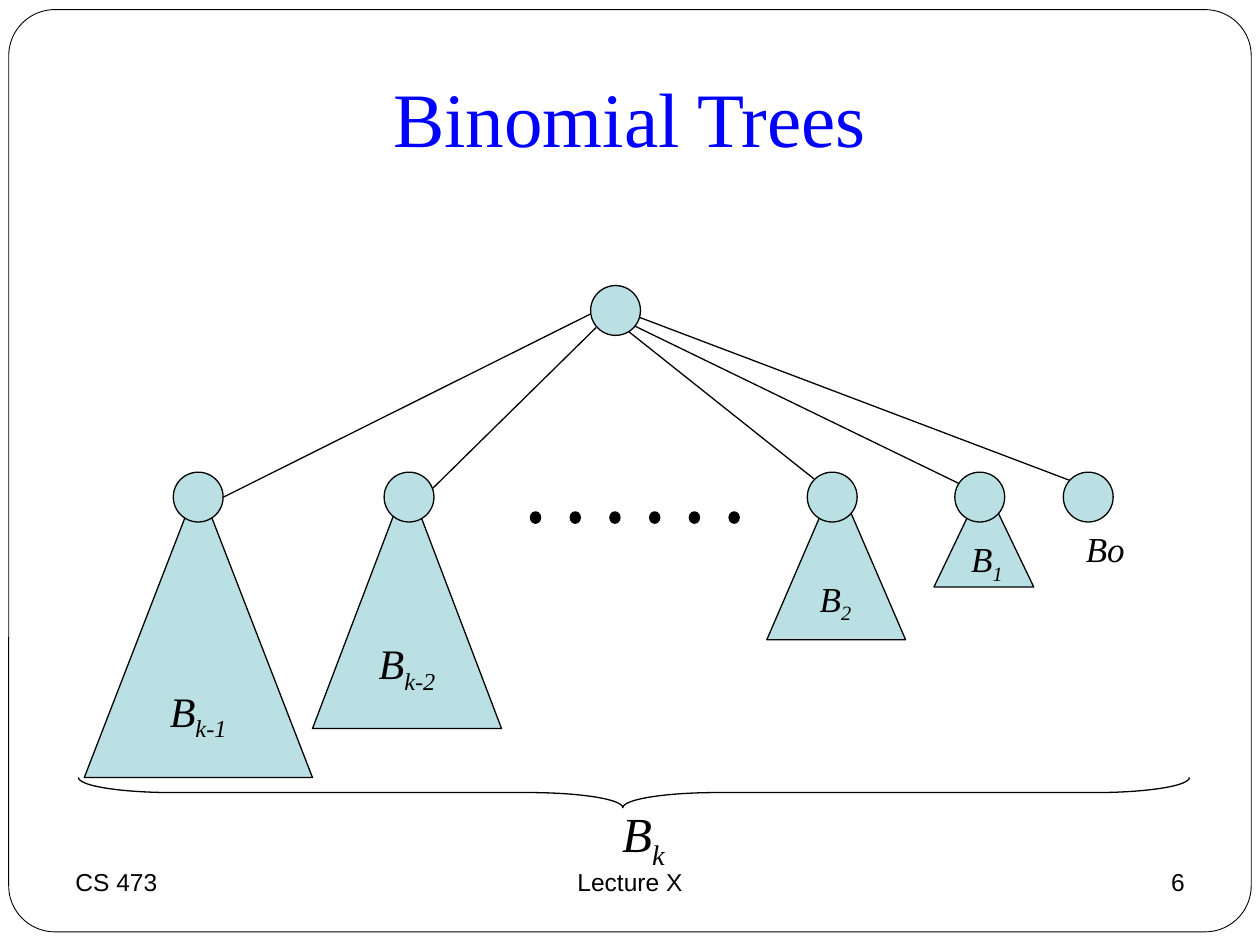
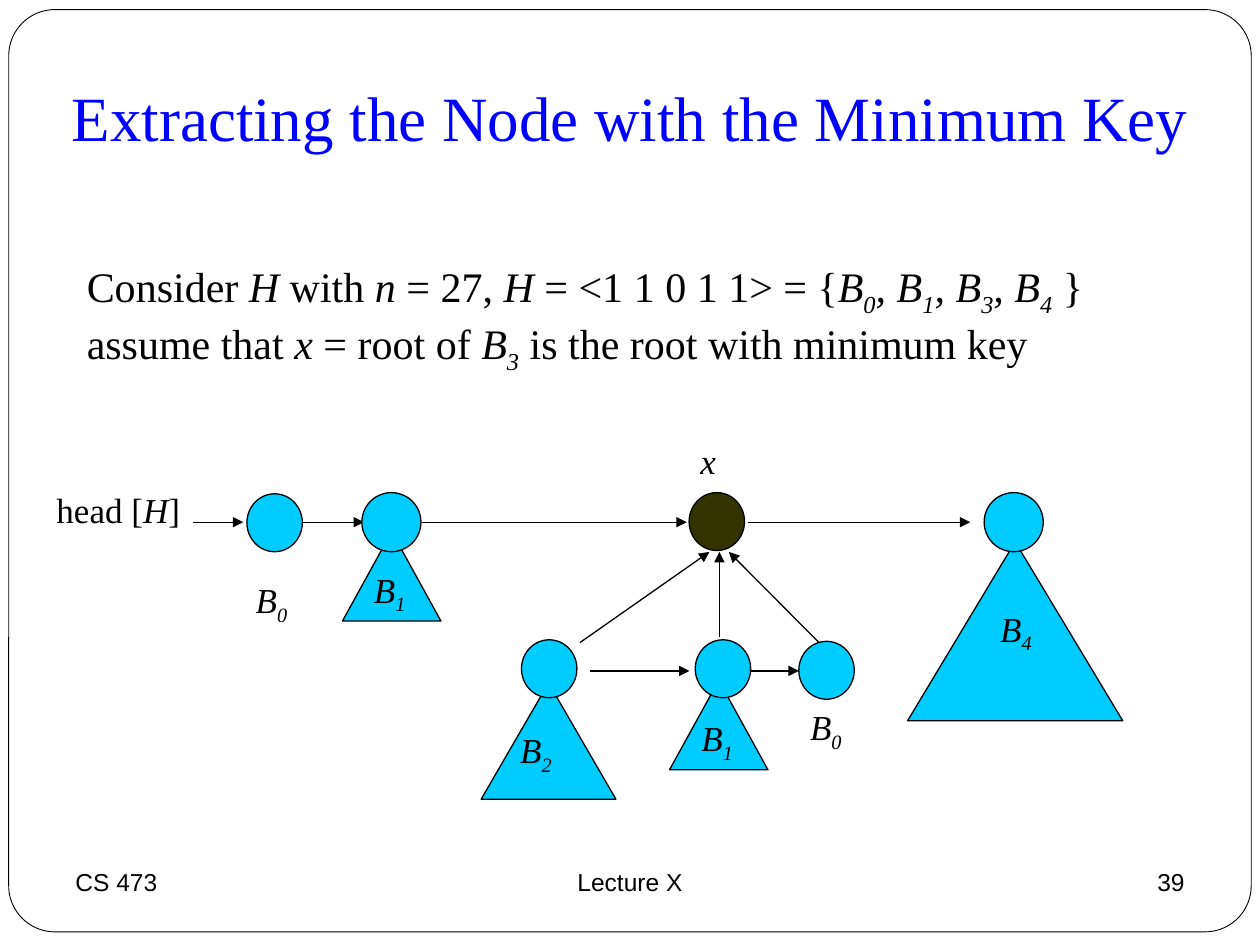
"""Build two lecture slides on binomial trees and binomial heaps."""
from typing import NamedTuple

import lxml.etree
import pptx
import pptx.dml.color
import pptx.enum.shapes
import pptx.enum.text
import pptx.oxml.ns
import pptx.shapes.autoshape
import pptx.slide
import pptx.text.text
import pptx.util

Pt = pptx.util.Pt
SHAPE = pptx.enum.shapes.MSO_SHAPE
ALIGN = pptx.enum.text.PP_ALIGN
ANCHOR = pptx.enum.text.MSO_ANCHOR
qn = pptx.oxml.ns.qn

SERIF, SANS = "Times New Roman", "Arial"
BLACK, WHITE, TITLE_BLUE = "000000", "FFFFFF", "0000FF"
PALE_TEAL, SKY, OLIVE = "BBE0E3", "00CCFF", "333300"


class Box(NamedTuple):
    """Place and size of a shape."""
    x: float
    y: float
    w: float
    h: float


class Node(NamedTuple):
    """Root of a tree."""
    box: Box
    color: str


class Subtree(NamedTuple):
    """Triangle below a root, with a label if it carries one."""
    box: Box
    color: str
    text: str = ""


class Edge(NamedTuple):
    """Straight line between two points."""
    x1: float
    y1: float
    x2: float
    y2: float
    arrow: bool = False


class Label(NamedTuple):
    """Short free-standing text."""
    x: float
    y: float
    text: str
    size: float = 20


def rgb(color: str) -> pptx.dml.color.RGBColor:
    """Turn a hex string into a colour."""
    return pptx.dml.color.RGBColor.from_string(color)


def write(tf: pptx.text.text.TextFrame, text: str, *, size: float = 20, font: str = SERIF,
          color: str = BLACK, align: ALIGN = ALIGN.LEFT, anchor: ANCHOR = ANCHOR.TOP,
          wrap: bool = True) -> None:
    """Write text in which * toggles italics and _ toggles subscript."""
    tf.word_wrap = wrap
    tf.vertical_anchor = anchor
    p = tf.paragraphs[0]
    p.alignment = align
    for i, part in enumerate(text.split("*")):
        for j, piece in enumerate(part.split("_")):
            if not piece:
                continue
            r = p.add_run()
            r.text = piece
            r.font.name, r.font.size = font, Pt(size)
            r.font.color.rgb = rgb(color)
            r.font.italic = i % 2 == 1
            if j % 2:
                r._r.get_or_add_rPr().set("baseline", "-25000")


def add_text(s: pptx.slide.Slide, box: Box, text: str, **style) -> None:
    """Add a text box."""
    write(s.shapes.add_textbox(*map(Pt, box)).text_frame, text, **style)


def add_shape(s: pptx.slide.Slide, kind: SHAPE, box: Box, fill: str = "",
              width: float = 0.75) -> pptx.shapes.autoshape.Shape:
    """Add a black-outlined shape, unfilled when no colour is given."""
    sp = s.shapes.add_shape(kind, *map(Pt, box))
    sp.shadow.inherit = False
    if fill:
        sp.fill.solid()
        sp.fill.fore_color.rgb = rgb(fill)
    else:
        sp.fill.background()
    sp.line.color.rgb = rgb(BLACK)
    sp.line.width = Pt(width)
    return sp


def add_edge(s: pptx.slide.Slide, edge: Edge) -> None:
    """Add a line, with an arrowhead at its end if asked for."""
    ends = map(Pt, edge[:4])
    c = s.shapes.add_connector(pptx.enum.shapes.MSO_CONNECTOR.STRAIGHT, *ends)
    c.line.color.rgb = rgb(BLACK)
    c.line.width = Pt(0.75)
    sp_pr = c._element.spPr
    if edge.arrow:
        lxml.etree.SubElement(sp_pr.find(qn("a:ln")), qn("a:tailEnd"), type="triangle")
    lxml.etree.SubElement(sp_pr, qn("a:effectLst"))


def add_diagram(s: pptx.slide.Slide, edges: list[Edge], subtrees: list[Subtree],
                nodes: list[Node], labels: list[Label]) -> None:
    """Draw a diagram from its lines up to its labels."""
    for edge in edges:
        add_edge(s, edge)
    for tree in subtrees:
        sp = add_shape(s, SHAPE.ISOSCELES_TRIANGLE, tree.box, tree.color)
        if tree.text:
            write(sp.text_frame, tree.text, size=24, align=ALIGN.CENTER,
                  anchor=ANCHOR.MIDDLE, wrap=False)
    for node in nodes:
        add_shape(s, SHAPE.OVAL, node.box, node.color)
    for label in labels:
        add_text(s, Box(label.x, label.y, 100, 34), label.text, size=label.size)


def add_slide(prs: pptx.presentation.Presentation, title: str, number: int,
              size: float) -> pptx.slide.Slide:
    """Add a slide with frame, footer and title."""
    s = prs.slides.add_slide(prs.slide_layouts[6])
    frame = add_shape(s, SHAPE.ROUNDED_RECTANGLE, Box(5, 5.5, 710, 527), WHITE, 0.5)
    frame.adjustments[0] = 0.05
    for x, w, text, align in ((36, 168, "CS 473", ALIGN.LEFT),
                              (246, 228, "Lecture X", ALIGN.CENTER),
                              (516, 168, str(number), ALIGN.RIGHT)):
        add_text(s, Box(x, 492, w, 37.5), text, size=14, font=SANS, align=align)
    add_text(s, Box(0, 21.6, 720, 90), title, size=size, color=TITLE_BLUE,
             align=ALIGN.CENTER, anchor=ANCHOR.MIDDLE)
    return s


def binomial_trees(prs: pptx.presentation.Presentation) -> None:
    """Show how the tree of order k is made of smaller ones."""
    s = add_slide(prs, "Binomial Trees", 6, 44)
    diameter = 28.5
    roots = [(337.5, 163.2)] + [(x, 269.8) for x in (99, 219.5, 461.3, 545.6, 607.6)]
    add_diagram(
        s,
        edges=[Edge(360, 185, 558.7, 281.5), Edge(127.5, 284.2, 337.7, 179.3),
               Edge(244.8, 281.5, 340.6, 187.2), Edge(465.1, 273.6, 356.4, 187.2),
               Edge(360, 179.3, 624.2, 279.4)],
        subtrees=[Subtree(Box(438.2, 273.6, 79.3, 92), PALE_TEAL),
                  Subtree(Box(533.7, 276, 57, 59.4), PALE_TEAL),
                  Subtree(Box(178.6, 274.3, 108, 142), PALE_TEAL, "*B_k-2_*"),
                  Subtree(Box(48.2, 276, 130.4, 168.3), PALE_TEAL)],
        nodes=[Node(Box(x, y, diameter, diameter), PALE_TEAL) for x, y in roots],
        labels=[Label(90, 388, "*B_k-1_*", 24), Label(461.3, 326.2, "*B_2_*"),
                Label(547.9, 303.8, "*B_1_*"), Label(613.4, 298, "*Bo*"),
                Label(348.5, 455.8, "*B_k_*", 28)])
    for i in range(6):
        add_shape(s, SHAPE.OVAL, Box(303.1 + 22.7 * i, 292.5, 5.8, 6.5), BLACK)
    brace = add_shape(s, SHAPE.LEFT_BRACE, Box(353.6, 135.4, 17.3, 635))
    brace.rotation = 270
    brace.adjustments[0], brace.adjustments[1] = 3.11, 0.49


def extracting_minimum(prs: pptx.presentation.Presentation) -> None:
    """Show the heap whose minimum root is taken out."""
    s = add_slide(prs, "Extracting the Node with the Minimum Key", 39, 36)
    add_text(s, Box(42.5, 145.4, 652, 72.7),
             "Consider *H* with *n *= 27, *H *= <1 1 0 1 1> = {*B_0_, B_1_, B_3_, B_4_* } "
             "assume that *x *= root of *B_3_* is the root with minimum key", size=24)
    root_list_y, child_list_y = 298.4, 383.4
    links = [(110.2, 139, root_list_y), (172.8, 208, root_list_y),
             (241.2, 392.4, root_list_y), (427.7, 554.4, root_list_y),
             (337.2, 394, child_list_y), (427.7, 456.5, child_list_y)]
    parents = [(331.4, 367.2, 405.4, 315.4), (411.1, 364.3, 411.1, 315.4),
               (471.6, 370.8, 416.5, 315.4)]
    small = [(141.1, 282.2, SKY), (393.8, 281.5, OLIVE), (298, 365.6, SKY),
             (397.3, 365.6, SKY), (456.5, 366.5, SKY)]
    add_diagram(
        s,
        edges=[Edge(x1, y, x2, y, True) for x1, x2, y in links]
        + [Edge(*ends, True) for ends in parents],
        subtrees=[Subtree(Box(195.7, 303.8, 56.3, 51.1), SKY),
                  Subtree(Box(275, 390.3, 77, 66.4), SKY),
                  Subtree(Box(382.6, 388.8, 56.3, 51.1), SKY),
                  Subtree(Box(518.6, 309.6, 123, 102.3), SKY)],
        nodes=[Node(Box(x, y, 31.7, 33.1), color) for x, y, color in small]
        + [Node(Box(x, 281.5, 33.8, 33.8), SKY) for x in (206.8, 562.4)],
        labels=[Label(25.2, 275.8, "head [*H*]"), Label(139, 326.9, "*B_0_*"),
                Label(206.6, 321.1, "*B_1_*"), Label(393.1, 247.7, "*x*"),
                Label(290.2, 412.6, "*B_2_*"), Label(393.8, 406.1, "*B_1_*"),
                Label(455.8, 399.6, "*B_0_*"), Label(564.5, 343.4, "*B_4_*")])


def main() -> None:
    """Build and save the slides."""
    prs = pptx.Presentation()
    prs.slide_width, prs.slide_height = Pt(720), Pt(540)
    binomial_trees(prs)
    extracting_minimum(prs)
    prs.save("out.pptx")


if __name__ == "__main__":
    main()
